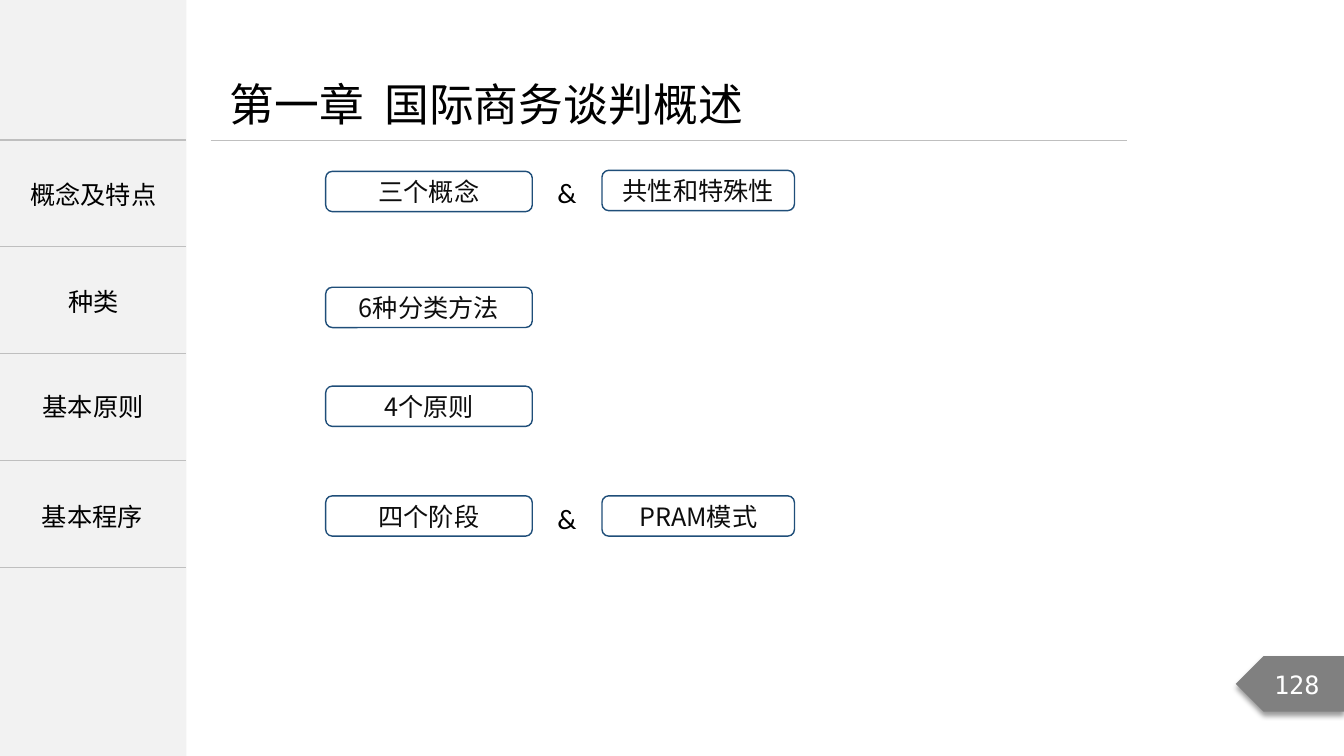
import dataclasses

import lxml.etree
import pptx
import pptx.dml.color
import pptx.enum.shapes
import pptx.enum.text
import pptx.oxml
import pptx.oxml.ns
import pptx.util

Pt = pptx.util.Pt
SHAPE = pptx.enum.shapes.MSO_SHAPE
ALIGN = pptx.enum.text.PP_ALIGN
ANCHOR = pptx.enum.text.MSO_ANCHOR
qn = pptx.oxml.ns.qn

COLORS = {
    "sidebar": "F2F2F2",
    "rule": "BFBFBF",
    "outline": "1F4E79",
    "topic": "0D0D0D",
    "text": "000000",
    "badge": "808080",
    "page_number": "FFFFFF",
}
CJK = "Noto Sans CJK SC"
SIDEBAR_WIDTH = 133.2
TABLE_TOP, ROW_HEIGHT = 100, 76.3
BOX_HEIGHT = 28.8
LEFT_BOX, RIGHT_BOX = (232.6, 147.6), (430, 137.5)  # left, width


@dataclasses.dataclass
class Label:
    text: str
    left: float
    top: float
    width: float
    height: float = BOX_HEIGHT
    size: float = 18
    font: str = CJK
    color: str = "text"
    align: ALIGN = ALIGN.CENTER
    wrap: bool = False


ROW_NAMES = ["概念及特点", "种类", "", ""]
SIDE_LABELS = [
    Label("基本原则", 23, 275.8, 87.1),
    Label("基本程序", 22.3, 354.2, 87.1),
]
TOPICS = [
    Label(text, left, top, width, color="topic", wrap=True)
    for text, (left, width), top in [
        ("三个概念", LEFT_BOX, 122.4),
        ("共性和特殊性", RIGHT_BOX, 121.7),
        ("6种分类方法", LEFT_BOX, 205.2),
        ("4个原则", LEFT_BOX, 275.8),
        ("四个阶段", LEFT_BOX, 354.2),
        ("PRAM模式", RIGHT_BOX, 354.2),
    ]
]
AMPERSANDS = [
    Label("&", 391, top, 28.1, 31.7, 20, "Calibri", align=ALIGN.LEFT, wrap=True)
    for top in (121.7, 354.2)
]
TITLE = Label("第一章  国际商务谈判概述", 157, 51.1, 402.5, 46.1, 32, align=ALIGN.LEFT)
BADGE = Label("128", 882.7, 468.7, 77.3, 39.6, font="DejaVu Sans Mono",
              color="page_number", wrap=True)


def rgb(name: str) -> pptx.dml.color.RGBColor:
    return pptx.dml.color.RGBColor.from_string(COLORS[name])


def write(frame, label: Label) -> None:
    """Fill a text frame and format its single paragraph."""
    frame.text = label.text
    frame.word_wrap = label.wrap
    frame.vertical_anchor = ANCHOR.MIDDLE
    para = frame.paragraphs[0]
    para.alignment = label.align
    for span in para.runs:
        span.font.size = Pt(label.size)
        span.font.name = label.font
        span.font.color.rgb = rgb(label.color)
        latin = span.font._element.find(qn("a:latin"))
        east_asian = pptx.oxml.parse_xml(
            f'<a:ea {pptx.oxml.ns.nsdecls("a")} typeface="{label.font}"/>')
        latin.addnext(east_asian)


def bounds(label: Label) -> tuple:
    return Pt(label.left), Pt(label.top), Pt(label.width), Pt(label.height)


def add_text(page, label: Label) -> None:
    write(page.shapes.add_textbox(*bounds(label)).text_frame, label)


def add_topic(page, label: Label) -> None:
    box = page.shapes.add_shape(SHAPE.ROUNDED_RECTANGLE, *bounds(label))
    box.shadow.inherit = False
    box.fill.background()
    box.line.color.rgb = rgb("outline")
    box.line.width = Pt(1)
    write(box.text_frame, label)


def add_badge(page, label: Label) -> None:
    box = page.shapes.add_shape(SHAPE.PENTAGON, *bounds(label))
    box.fill.solid()
    box.fill.fore_color.rgb = rgb("badge")
    box.line.fill.background()
    box.shadow.inherit = False
    box._element.spPr.find(qn("a:xfrm")).set("flipH", "1")
    effects = box._element.spPr.find(qn("a:effectLst"))
    shadow = lxml.etree.SubElement(
        effects, qn("a:outerShdw"), blurRad=str(Pt(4)), dist=str(Pt(3)),
        dir="5400000", algn="t", rotWithShape="0")
    color = lxml.etree.SubElement(shadow, qn("a:srgbClr"), val=COLORS["text"])
    lxml.etree.SubElement(color, qn("a:alpha"), val="40000")
    write(box.text_frame, label)


def add_border(cell, side: str, visible: bool) -> None:
    properties = cell._tc.get_or_add_tcPr()
    border = lxml.etree.SubElement(properties, qn(f"a:ln{side}"), w=str(Pt(1)))
    if visible:
        fill = lxml.etree.SubElement(border, qn("a:solidFill"))
        lxml.etree.SubElement(fill, qn("a:srgbClr"), val=COLORS["rule"])
    else:
        lxml.etree.SubElement(border, qn("a:noFill"))


def add_sidebar(page) -> None:
    panel = page.shapes.add_shape(
        SHAPE.RECTANGLE, 0, 0, Pt(SIDEBAR_WIDTH), Pt(540))
    panel.shadow.inherit = False
    panel.fill.solid()
    panel.fill.fore_color.rgb = rgb("sidebar")
    panel.line.fill.background()

    table = page.shapes.add_table(
        len(ROW_NAMES), 1, 0, Pt(TABLE_TOP), Pt(SIDEBAR_WIDTH),
        Pt(ROW_HEIGHT * len(ROW_NAMES))).table
    table.first_row = False
    table.horz_banding = False
    for row, name in zip(table.rows, ROW_NAMES):
        row.height = Pt(ROW_HEIGHT)
        cell = row.cells[0]
        for side in "LRTB":
            add_border(cell, side, side in "TB")
        cell.fill.background()
        if name:
            write(cell.text_frame, Label(name, 0, 0, 0, wrap=True))
        cell.vertical_anchor = ANCHOR.MIDDLE


def add_title(page, label: Label) -> None:
    title = page.shapes.title
    title.left, title.top, title.width, title.height = bounds(label)
    write(title.text_frame, label)
    title.text_frame.auto_size = pptx.enum.text.MSO_AUTO_SIZE.NONE

    rule = page.shapes.add_connector(
        pptx.enum.shapes.MSO_CONNECTOR.STRAIGHT,
        Pt(150.5), Pt(TABLE_TOP), Pt(805), Pt(TABLE_TOP))
    rule.line.color.rgb = rgb("rule")
    rule.line.width = Pt(0.5)
    lxml.etree.SubElement(rule._element.spPr, qn("a:effectLst"))


def main() -> None:
    deck = pptx.Presentation()
    deck.slide_width, deck.slide_height = Pt(960), Pt(540)
    page = deck.slides.add_slide(deck.slide_layouts[5])

    # Sidebar with the section names
    add_sidebar(page)
    for label in SIDE_LABELS:
        add_text(page, label)

    # Chapter title and its rule
    add_title(page, TITLE)

    # Topics of each section
    for label in TOPICS:
        add_topic(page, label)
    for label in AMPERSANDS:
        add_text(page, label)

    # Page number
    add_badge(page, BADGE)
    deck.save("out.pptx")


if __name__ == "__main__":
    main()
